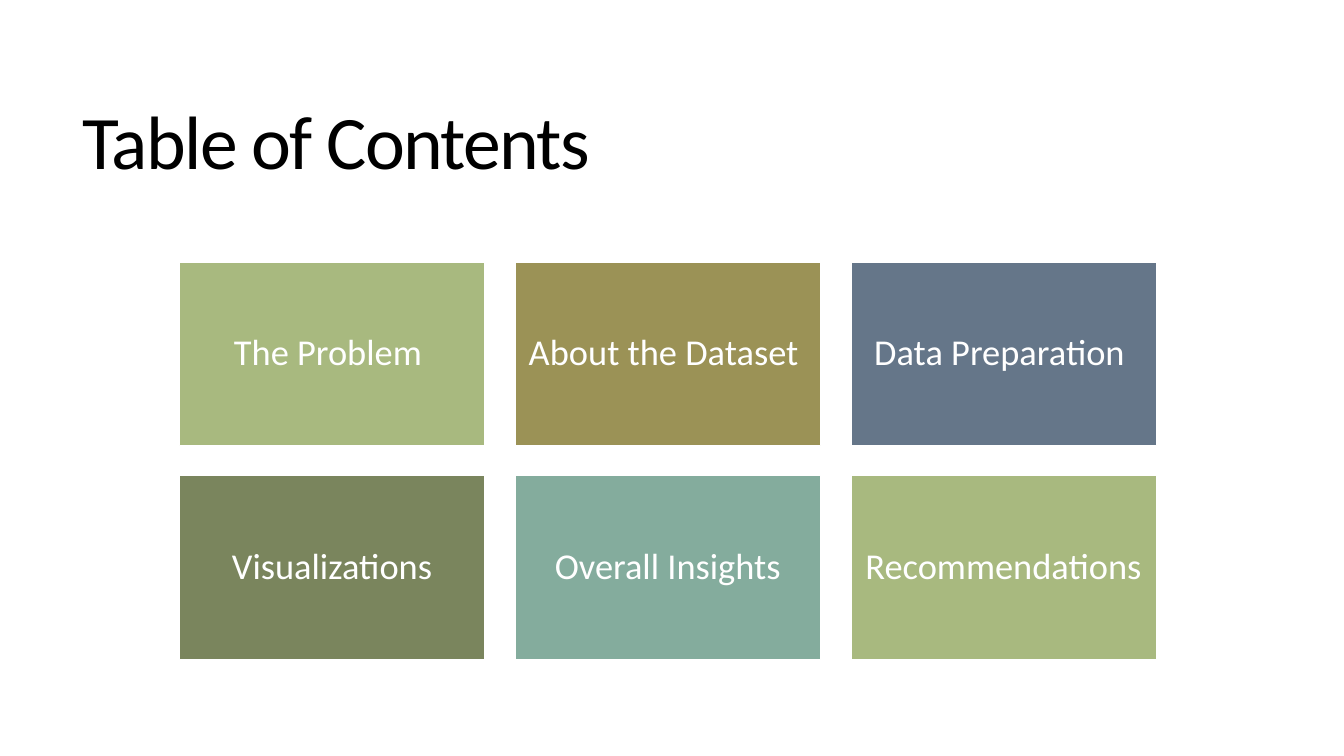
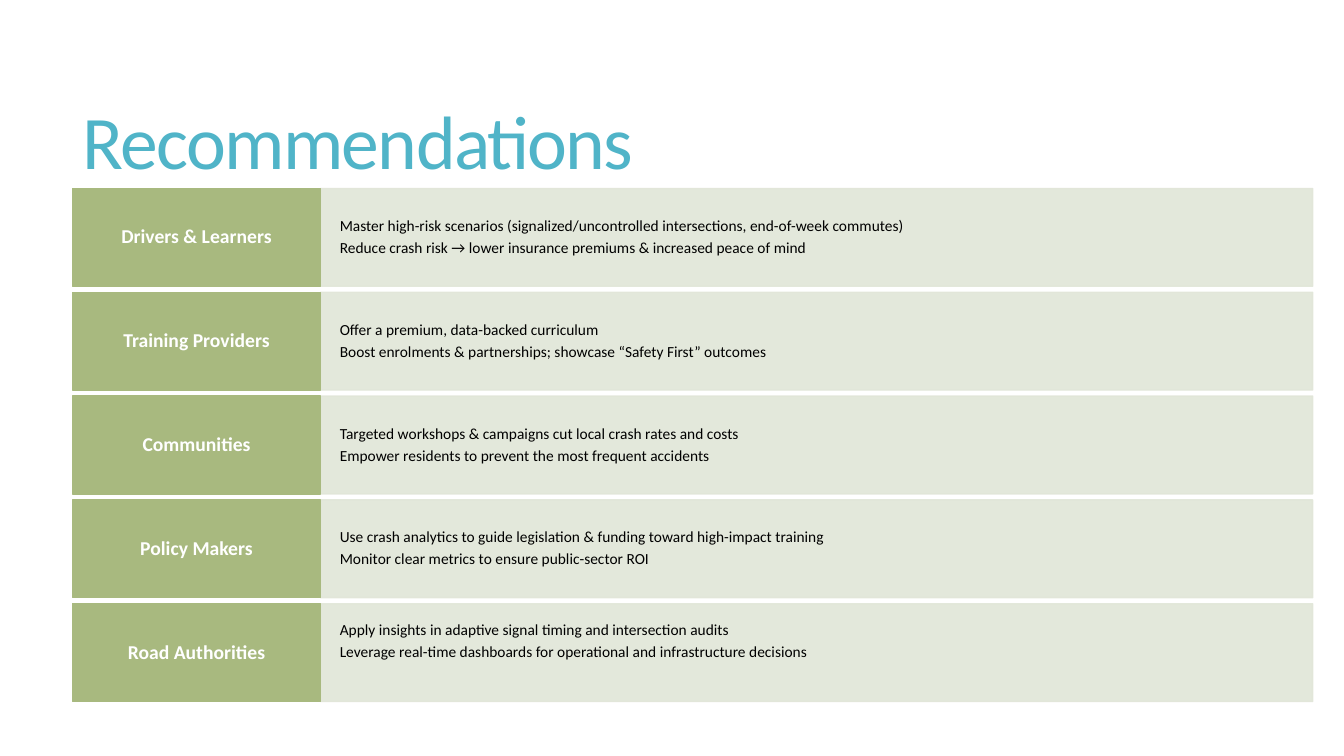
from lxml import etree
from pptx import Presentation
from pptx.dml.color import RGBColor
from pptx.enum.shapes import MSO_SHAPE
from pptx.enum.text import MSO_ANCHOR, PP_ALIGN
from pptx.oxml.ns import qn
from pptx.util import Inches, Pt

RECT = MSO_SHAPE.RECTANGLE
MIDDLE = MSO_ANCHOR.MIDDLE
LEFT, CENTER = PP_ALIGN.LEFT, PP_ALIGN.CENTER

FONT = "Calibri"
BLACK = RGBColor(0x00, 0x00, 0x00)
WHITE = RGBColor(0xFF, 0xFF, 0xFF)
CYAN = RGBColor(0x50, 0xB4, 0xC8)
GREEN = RGBColor(0xA8, 0xB9, 0x7F)
OLIVE = RGBColor(0x9B, 0x92, 0x56)
SLATE = RGBColor(0x65, 0x76, 0x89)
MOSS = RGBColor(0x7A, 0x85, 0x5D)
TEAL = RGBColor(0x84, 0xAC, 0x9D)
PALE = RGBColor(0xE1, 0xE6, 0xD8)

MARGIN = 0.72

TOPICS = [
    ("The Problem ", GREEN),
    ("About the Dataset ", OLIVE),
    ("Data Preparation ", SLATE),
    ("Visualizations", MOSS),
    ("Overall Insights", TEAL),
    ("Recommendations ", GREEN),
]
TILE_COLS = 3
TILE_LEFT, TILE_TOP = 1.78, 2.6
TILE_W, TILE_H, TILE_GAP = 3.03, 1.82, 0.3

ADVICE = [
    ("Drivers & Learners", [
        "Master high-risk scenarios (signalized/uncontrolled intersections, end-of-week commutes)",
        "Reduce crash risk → lower insurance premiums & increased peace of mind"]),
    ("Training Providers", [
        "Offer a premium, data-backed curriculum",
        "Boost enrolments & partnerships; showcase “Safety First” outcomes"]),
    ("Communities", [
        "Targeted workshops & campaigns cut local crash rates and costs",
        "Empower residents to prevent the most frequent accidents"]),
    ("Policy Makers", [
        "Use crash analytics to guide legislation & funding toward high-impact training",
        "Monitor clear metrics to ensure public-sector ROI"]),
    ("Road Authorities", [
        "Apply insights in adaptive signal timing and intersection audits",
        "Leverage real-time dashboards for operational and infrastructure decisions"]),
]
ROW_TOP, ROW_H, ROW_PITCH = 1.87, 0.97, 1.03
LABEL_W, DETAIL_W = 2.46, 9.84
RAISED_BOTTOM = 0.32  # bottom inset that lifts the text of the last row


def add_title(s, text, color):
    box = s.shapes.add_textbox(Inches(MARGIN), Inches(0.55), Inches(11.78), Inches(1.81))
    tf = box.text_frame
    tf.word_wrap = True
    tf.vertical_anchor = MIDDLE
    p = tf.paragraphs[0]
    p.text = text
    p.line_spacing = 0.85
    r = p.runs[0]
    r.font.name = FONT
    r.font.size = Pt(54)
    r.font.color.rgb = color
    r._r.get_or_add_rPr().set("spc", "-120")


def add_block(s, left, top, width, height, fill, line):
    sp = s.shapes.add_shape(RECT, Inches(left), Inches(top), Inches(width), Inches(height))
    sp.shadow.inherit = False
    sp.fill.solid()
    sp.fill.fore_color.rgb = fill
    sp.line.color.rgb = line
    sp.line.width = Pt(1)
    return sp


def set_opacity(sp, percent):
    """Apply one opacity to both the fill and the outline."""
    for color in sp._element.spPr.iter(qn("a:srgbClr")):
        etree.SubElement(color, qn("a:alpha")).set("val", str(percent * 1000))


def write_lines(sp, lines, size, color, align, side, top=0.1, bottom=0.1, bold=False):
    tf = sp.text_frame
    tf.word_wrap = True
    tf.vertical_anchor = MIDDLE
    tf.margin_left = tf.margin_right = Inches(side)
    tf.margin_top, tf.margin_bottom = Inches(top), Inches(bottom)
    tf.text = "\n".join(lines)
    for p in tf.paragraphs:
        p.alignment = align
        p.line_spacing = 0.9
        p.space_after = Pt(size * 0.35)
        for r in p.runs:
            r.font.name = FONT
            r.font.size = Pt(size)
            r.font.bold = bold
            r.font.color.rgb = color


def add_tile(s, index, topic, fill):
    row, col = divmod(index, TILE_COLS)
    sp = add_block(s, TILE_LEFT + col * (TILE_W + TILE_GAP),
                   TILE_TOP + row * (TILE_H + TILE_GAP), TILE_W, TILE_H, fill, WHITE)
    write_lines(sp, [topic], 26, WHITE, CENTER, 0.11)


def add_advice_row(s, top, label, lines, bottom):
    detail = add_block(s, MARGIN + LABEL_W, top, DETAIL_W, ROW_H, PALE, PALE)
    set_opacity(detail, 90)
    write_lines(detail, lines, 11, BLACK, LEFT, 0.19, bottom=bottom)
    head = add_block(s, MARGIN, top, LABEL_W, ROW_H, GREEN, GREEN)
    write_lines(head, [label], 14, WHITE, CENTER, 0.13, bold=True)


def add_slide(prs, title, color):
    s = prs.slides.add_slide(prs.slide_layouts[6])
    add_title(s, title, color)
    return s


def main():
    prs = Presentation()
    prs.slide_width, prs.slide_height = Inches(13.33), Inches(7.5)

    s = add_slide(prs, "Table of Contents", BLACK)
    for i, (topic, fill) in enumerate(TOPICS):
        add_tile(s, i, topic, fill)

    s = add_slide(prs, "Recommendations", CYAN)
    for i, (label, lines) in enumerate(ADVICE):
        bottom = RAISED_BOTTOM if i == len(ADVICE) - 1 else 0.1
        add_advice_row(s, ROW_TOP + i * ROW_PITCH, label, lines, bottom)

    prs.save("out.pptx")


if __name__ == "__main__":
    main()
